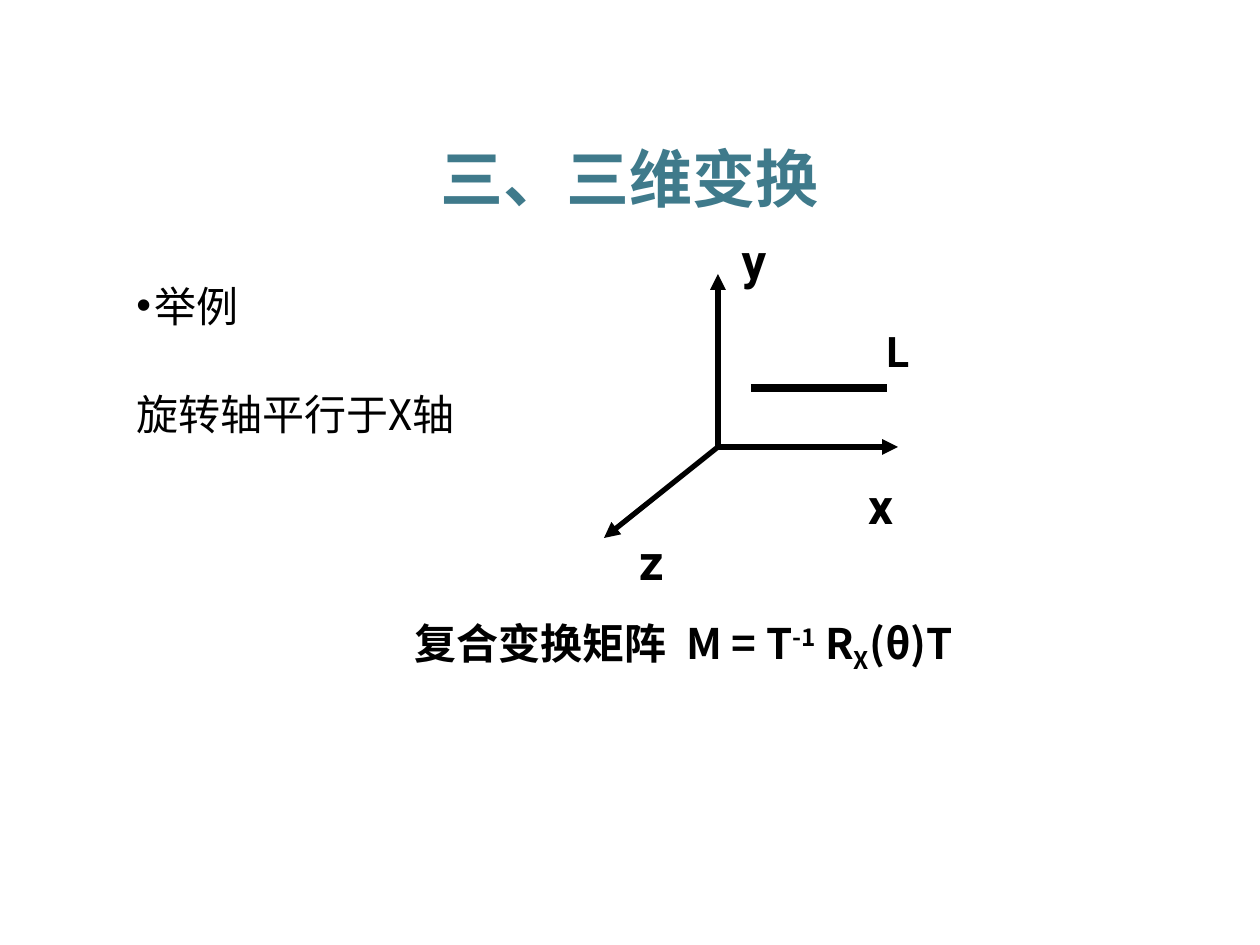
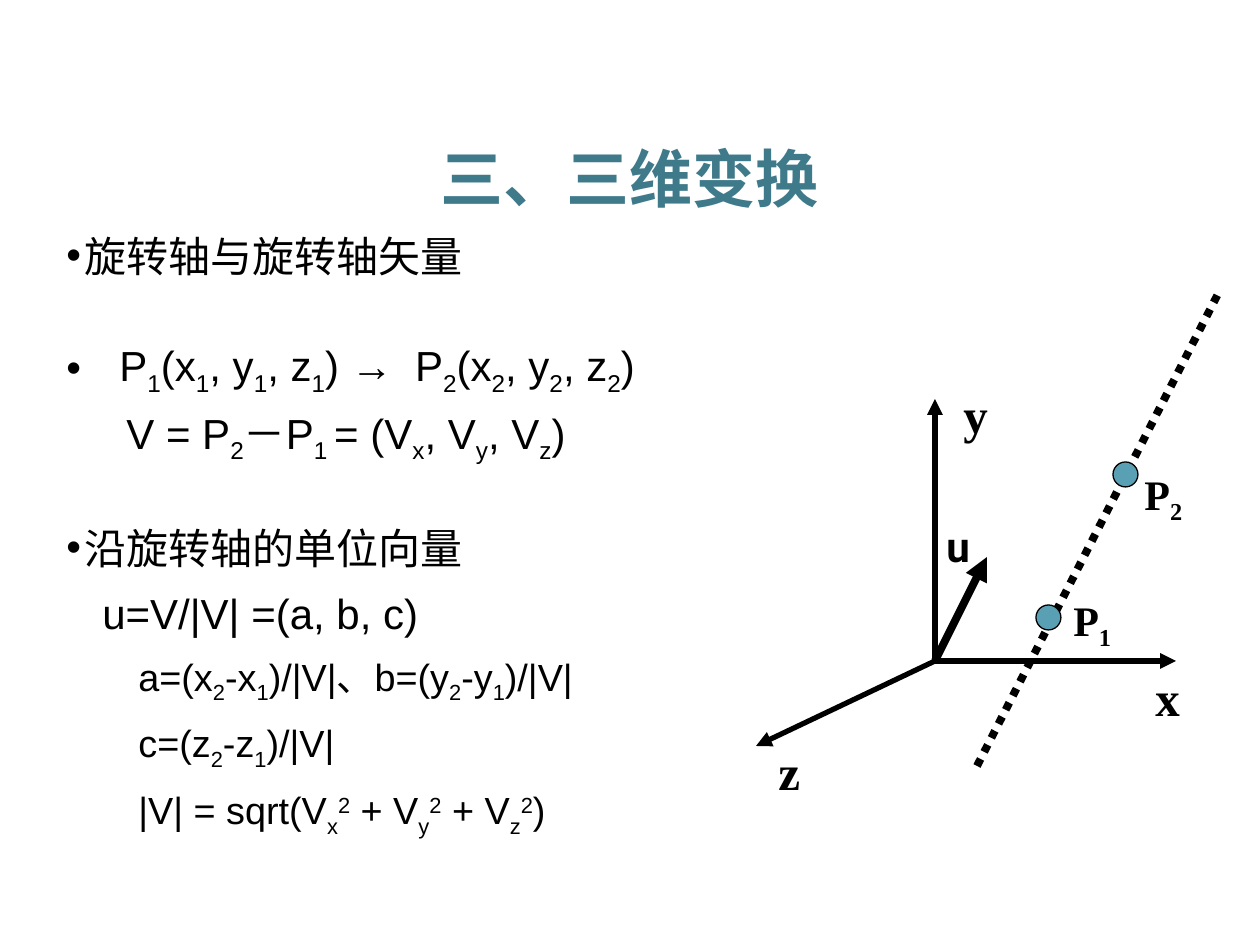
from dataclasses import dataclass
from lxml import etree
from pptx import Presentation
from pptx.dml.color import RGBColor
from pptx.enum.dml import MSO_LINE
from pptx.enum.shapes import MSO_CONNECTOR, MSO_SHAPE
from pptx.enum.text import MSO_ANCHOR, MSO_AUTO_SIZE, PP_ALIGN
from pptx.oxml.ns import qn
from pptx.util import Pt

PX = 914400 / 126
STRAIGHT = MSO_CONNECTOR.STRAIGHT
OVAL = MSO_SHAPE.OVAL
DOTS = MSO_LINE.ROUND_DOT
MIDDLE = MSO_ANCHOR.MIDDLE
GROW = MSO_AUTO_SIZE.SHAPE_TO_FIT_TEXT
LEFT, CENTER = PP_ALIGN.LEFT, PP_ALIGN.CENTER
MARKS = {"_": ("baseline", "-25000"), "^": ("baseline", "30000"), "~": ("spc", "600")}


@dataclass
class Theme:
    ink: RGBColor = RGBColor(0, 0, 0)
    teal: RGBColor = RGBColor(0x3F, 0x7A, 0x8B)
    dot: RGBColor = RGBColor(0x5A, 0xA0, 0xB4)
    han: str = "Noto Sans CJK SC"
    sans: str = "Arial"
    label: str = "Roboto"
    serif: str = "Times New Roman"
    head: float = 36
    axis: float = 28
    text: float = 24
    small: float = 21.6
    thin: float = 0.75
    line: float = 3
    bold: float = 4.5
    wide: float = 27.1
    near: float = 2.8


theme = Theme()


def write(slide, box, rows, face, size=theme.text, color=theme.ink, bold=True,
          wrap=False, align=LEFT, tight=False):
    shape = slide.shapes.add_textbox(*[round(n * PX) for n in box])
    frame = shape.text_frame
    frame.word_wrap = wrap
    frame.auto_size = GROW
    if tight:
        frame.margin_left = frame.margin_right = 0
        frame.margin_top = frame.margin_bottom = 0
    if align == CENTER:
        frame.vertical_anchor = MIDDLE
    for i, row in enumerate(rows):
        para = frame.paragraphs[0] if i == 0 else frame.add_paragraph()
        para.alignment = align
        for part in row.split("`"):
            run = para.add_run()
            mark = MARKS.get(part[0])
            run.text = part[1:] if mark else part
            font = run.font
            font.size, font.bold, font.name = Pt(size), bold, face
            font.color.rgb = color
            props = run._r.get_or_add_rPr()
            etree.SubElement(props, qn("a:ea")).set("typeface", theme.han)
            if mark:
                props.set(*mark)
    return frame.paragraphs


def draw(slide, start, end, width=theme.line, arrow=True):
    ends = [round(n * PX) for n in (*start, *end)]
    link = slide.shapes.add_connector(STRAIGHT, *ends)
    link.line.color.rgb = theme.ink
    link.line.width = Pt(width)
    if arrow:
        etree.SubElement(link.line._get_or_add_ln(), qn("a:tailEnd")).set("type", "triangle")
    etree.SubElement(link._element.spPr, qn("a:effectLst"))
    return link


deck = Presentation()
deck.slide_width = round(1260 * PX)
deck.slide_height = round(945 * PX)

pages = [
    dict(
        body=(124, 264, 1144, 192), face=theme.han,
        rows=[
            ("举例", 18, -18, True, 1.2, theme.wide, theme.text),
            ("旋转轴平行于X轴", 18, -18, False, 1.2, theme.wide, theme.text),
        ],
        root=(718, 447), tips=[(718, 274), (898, 447), (604, 538)],
        names=theme.label, align=CENTER, tight=True,
        marks={"x": (866, 475, 29, 59), "y": (740, 230, 28, 59), "z": (639, 531, 25, 59)},
    ),
    dict(
        body=(54, 214, 784, 617), face=theme.sans,
        rows=[
            ("旋转轴与旋转轴矢量", 18, -18, True, 1.2, theme.wide, theme.text),
            ("P`_1`(x`_1`, y`_1`, z`_1`) →`~ `P`_2`(x`_2`, y`_2`, z`_2`)",
             53, -53, True, 1.2, theme.wide, theme.text),
            ("V = P`_2`－P`_1 `= (V`_x`, V`_y`, V`_z`)",
             60, 0, False, 1.1, theme.near, theme.text),
            ("沿旋转轴的单位向量", 18, -18, True, 1.2, theme.wide, theme.text),
            ("u=V/|V| =(a, b, c)", 36, 0, False, 1.2, theme.near, theme.text),
            ("a=(x`_2`-x`_1`)/|V|、b=(y`_2`-y`_1`)/|V|",
             72, 0, False, 1.2, theme.near, theme.small),
            ("c=(z`_2`-z`_1`)/|V|", 72, 0, False, 1.2, theme.near, theme.small),
            ("|V| = sqrt(V`_x`^2` + V`_y`^2` + V`_z`^2`)",
             72, 0, False, 1.2, theme.near, theme.small),
        ],
        root=(935, 661), tips=[(935, 399), (1176, 661), (756, 746)],
        names=theme.serif, align=LEFT, tight=False,
        marks={"x": (1143, 661, 50, 72), "y": (951, 378, 50, 72), "z": (766, 735, 47, 72)},
    ),
]

slides = []
for page in pages:
    slide = deck.slides.add_slide(deck.slide_layouts[6])
    slides.append(slide)
    write(slide, (41, 133, 1177, 89), ["三、三维变换"], theme.han, theme.head, theme.teal,
          wrap=True, align=CENTER)
    rows = page["rows"]
    paras = write(slide, page["body"], [row[0] for row in rows], page["face"],
                  bold=False, wrap=True)
    for i, (para, row) in enumerate(zip(paras, rows)):
        _, left, hang, dot, lead, gap, size = row
        props = para._p.get_or_add_pPr()
        props.set("marL", str(round(left * PX)))
        props.set("indent", str(round(hang * PX)))
        if dot:
            etree.SubElement(props, qn("a:buFont")).set("typeface", theme.sans)
            etree.SubElement(props, qn("a:buChar")).set("char", "•")
        para.line_spacing = lead
        para.space_before = Pt(gap if i else 0)
        for run in para.runs:
            run.font.size = Pt(size)
    for tip in page["tips"]:
        draw(slide, page["root"], tip)
    for name, box in page["marks"].items():
        write(slide, box, [name], page["names"], theme.axis,
              align=page["align"], tight=page["tight"])

first, second = slides

draw(first, (751, 388), (887, 388), theme.bold, False)
write(first, (874, 319, 49, 63), ["L"], theme.label)
write(first, (402, 611, 616, 63), ["复合变换矩阵`~ `M = T`^-1` R`_X`(θ)T"], theme.han)

draw(second, (977, 766), (1218, 294), theme.bold, False).line.dash_style = DOTS
for left, top in [(1113, 462), (1036, 605)]:
    point = second.shapes.add_shape(OVAL, *[round(n * PX) for n in (left, top, 25, 25)])
    point.shadow.inherit = False
    point.fill.solid()
    point.fill.fore_color.rgb = theme.dot
    point.line.color.rgb = theme.ink
    point.line.width = Pt(theme.thin)
write(second, (1061, 588, 66, 63), ["P`_1"], theme.serif)
write(second, (1132, 462, 66, 63), ["P`_2"], theme.serif)
draw(second, pages[1]["root"], (987, 557), theme.bold)
write(second, (934, 514, 52, 63), ["u"], theme.label)

deck.save("out.pptx")
